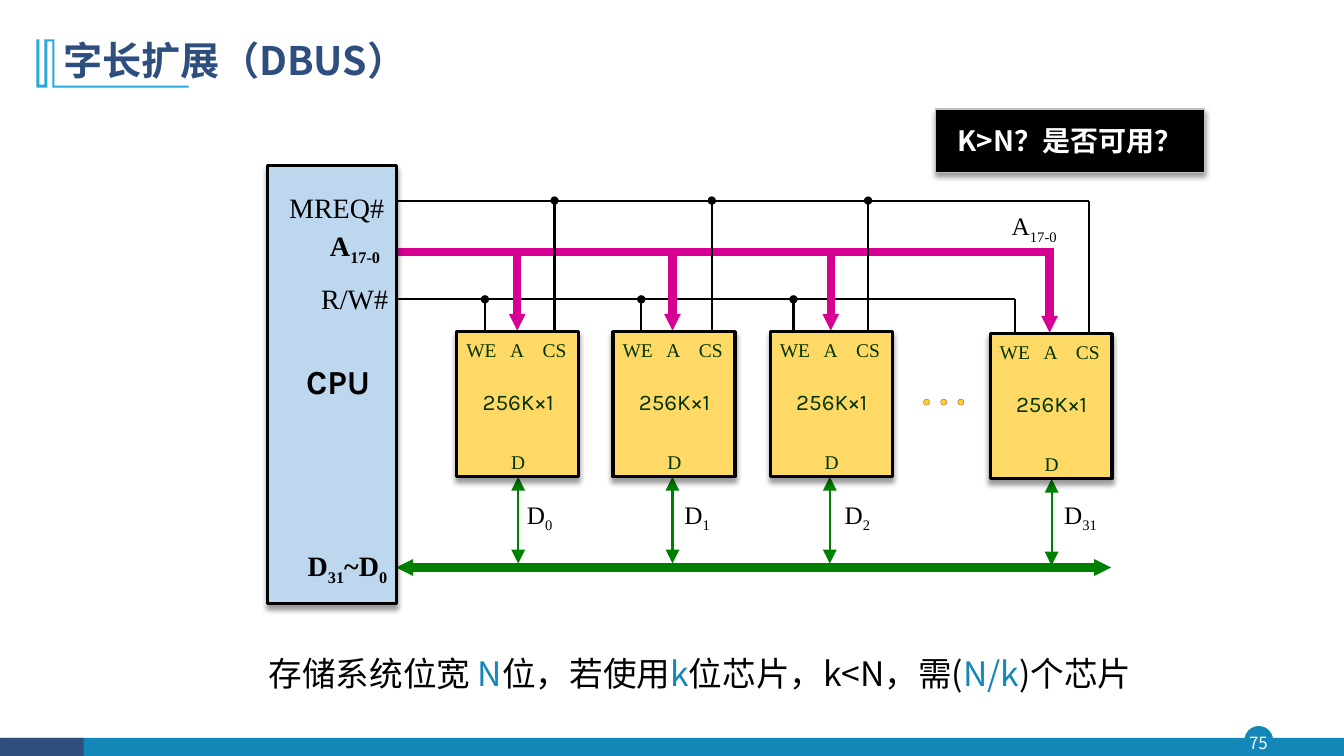
from typing import NamedTuple

from lxml import etree
from pptx import Presentation
from pptx import util as u
from pptx.dml.color import RGBColor
from pptx.enum import shapes, text
from pptx.oxml.ns import qn

PX = 9144  # EMU per px, 100 px to the inch
SANS, SERIF, LATIN = "Noto Sans CJK SC", "Times New Roman", "Karla"
COLOURS = {
    "black": "000000", "white": "FFFFFF", "grey": "BFBFBF",
    "navy": "2E4E7E", "teal": "1387B7", "sky": "28A9D6",
    "address": "D60093", "data": "008000", "pin": "003300",
    "chip": "FFD966", "cpu": "BDD7EE", "dot": "FFCC00", "dot_edge": "954F72",
}
LEFT, CENTRE, RIGHT = text.PP_ALIGN.LEFT, text.PP_ALIGN.CENTER, text.PP_ALIGN.RIGHT
RECT, OVAL = shapes.MSO_SHAPE.RECTANGLE, shapes.MSO_SHAPE.OVAL


class Run(NamedTuple):
    text: str
    baseline: int = 0
    colour: str = ""


class Chip(NamedTuple):
    left: int
    top: int
    write_x: int
    address_x: int
    select_x: int
    data_x: int
    label_x: int
    bit: str
    last: bool = False


CHIPS = [
    Chip(453, 329, 481, 513, 550, 514, 506, "0"),
    Chip(608, 329, 636, 667, 706, 667, 662, "1"),
    Chip(764, 329, 787, 824, 861, 823, 821, "2"),
    Chip(982, 331, 1007, 1041, 1080, 1043, 1046, "31", last=True),
]


def emu(*lengths):
    return [u.Emu(length * PX) for length in lengths]


def rgb(name):
    return RGBColor.from_string(COLOURS[name])


def format_paragraph(paragraph, runs, size, font, colour, align, bold):
    paragraph.alignment = align
    paragraph.font.size = u.Pt(size)
    paragraph.font.bold = bold
    paragraph.font.color.rgb = rgb(colour)
    paragraph.font.name = font
    etree.SubElement(paragraph.font._element, qn("a:ea"), typeface=font)
    for part in runs:
        run = paragraph.add_run()
        run.text = part.text
        if part.baseline:
            run.font._element.set("baseline", str(part.baseline * 1000))
        if part.colour:
            run.font.color.rgb = rgb(part.colour)


def add_text(slide, box, runs, size, font=SERIF, colour="black", align=CENTRE,
             bold=False, inset=None, wrap=True, grow=False, middle=False):
    frame = slide.shapes.add_textbox(*emu(*box)).text_frame
    frame.word_wrap = wrap
    if grow:
        frame.auto_size = text.MSO_AUTO_SIZE.SHAPE_TO_FIT_TEXT
    if middle:
        frame.vertical_anchor = text.MSO_ANCHOR.MIDDLE
    if inset is not None:
        frame.margin_left = frame.margin_right = u.Emu(inset * PX)
        frame.margin_top = frame.margin_bottom = u.Emu(inset * PX)
    format_paragraph(frame.paragraphs[0], runs, size, font, colour, align, bold)


def paint(shape, fill, edge=None, width=1.0):
    shape.shadow.inherit = False
    shape.fill.solid()
    shape.fill.fore_color.rgb = rgb(fill)
    if edge:
        shape.line.color.rgb = rgb(edge)
        shape.line.width = u.Pt(width)
    else:
        shape.line.fill.background()


def add_block(slide, kind, box, fill, edge=None, width=1.0, shadow=False, alpha=100):
    block = slide.shapes.add_shape(kind, *emu(*box))
    paint(block, fill, edge, width)
    properties = block._element.spPr
    if shadow:
        outer = etree.SubElement(properties.find(qn("a:effectLst")), qn("a:outerShdw"),
                                 blurRad=str(u.Pt(4)), dist=str(u.Pt(3)),
                                 dir="5400000", algn="t", rotWithShape="0")
        shade = etree.SubElement(outer, qn("a:srgbClr"), val=COLOURS["black"])
        etree.SubElement(shade, qn("a:alpha"), val="40000")
    if alpha < 100:
        tint = properties.find(qn("a:solidFill")).find(qn("a:srgbClr"))
        etree.SubElement(tint, qn("a:alpha"), val=str(alpha * 1000))


def add_wire(slide, start, end, colour="black", width=1.5, head=None, tail=None, tip="med"):
    wire = slide.shapes.add_connector(shapes.MSO_CONNECTOR.STRAIGHT, *emu(*start, *end))
    wire.line.color.rgb = rgb(colour)
    wire.line.width = u.Pt(width)
    properties = wire._element.spPr
    for tag, kind in (("a:headEnd", head), ("a:tailEnd", tail)):
        if kind:
            etree.SubElement(properties.find(qn("a:ln")), qn(tag), type=kind, w=tip, len=tip)
    etree.SubElement(properties, qn("a:effectLst"))


def add_frame(slide):
    # Footer bar with page number
    add_block(slide, OVAL, (1235, 721, 27, 27), "teal", "teal")
    add_block(slide, RECT, (1, 732, 1332, 19), "teal")
    add_block(slide, RECT, (0, 732, 83, 19), "navy")
    add_text(slide, (1232, 721, 32, 31), [Run("75")], 12, SANS, "white", inset=0, middle=True)
    # Title ornament
    outline = [(54, 85), (187, 85), (187, 87), (52, 87), (52, 41), (47, 41), (47, 87),
               (36, 87), (36, 39), (39, 39), (39, 84), (44, 84), (44, 39)]
    builder = slide.shapes.build_freeform(54, 39, scale=PX)
    builder.add_line_segments(outline, close=True)
    paint(builder.convert_to_shape(), "sky")
    # Title
    title = slide.shapes.title
    title.left, title.top, title.width, title.height = emu(53, 28, 1150, 68)
    title.text_frame.vertical_anchor = text.MSO_ANCHOR.MIDDLE
    title.text_frame.auto_size = text.MSO_AUTO_SIZE.NONE
    heading = title.text_frame.paragraphs[0]
    heading.line_spacing = 0.9
    format_paragraph(heading, [Run("字长扩展（DBUS）")], 28, SANS, "navy", LEFT, True)


def add_buses(slide):
    # Write control
    add_wire(slide, (388, 297), (1007, 297))
    for chip in CHIPS:
        add_wire(slide, (chip.write_x, 347), (chip.write_x, 297),
                 tail=None if chip.last else "oval")
    # Address bus
    add_text(slide, (950, 208, 99, 49), [Run("A"), Run("17-0", -25)], 18, align=RIGHT, inset=1)
    add_wire(slide, (389, 250), (1045, 250), "address", 6)
    for chip in CHIPS:
        add_wire(slide, (chip.address_x, 250), (chip.address_x, chip.top - 1),
                 "address", 6, tail="triangle", tip="sm")
    # Chip select
    add_wire(slide, (388, 199), (1080, 199))
    for chip in CHIPS:
        add_wire(slide, (chip.select_x, 343), (chip.select_x, 199),
                 tail=None if chip.last else "oval")
    # Data bus
    add_wire(slide, (393, 563), (1102, 563), "data", 6, "triangle", "triangle", "sm")
    for chip in CHIPS:
        add_wire(slide, (chip.data_x, chip.top + 144), (chip.data_x, chip.top + 230),
                 "data", 1.5, "triangle", "triangle", "lg")
        add_text(slide, (chip.label_x, 494, 43, 49), [Run("D"), Run(chip.bit, -25)], 18,
                 align=RIGHT, inset=1)


def add_chip(slide, chip):
    add_block(slide, RECT, (chip.left, chip.top, 121, 144), "chip", "black", 2.25, shadow=True)
    pins = [("WE", -3, -3, 55), ("A", 42, -3, 36), ("CS", 73, -3, 48), ("D", 43, 109, 36)]
    for pin, dx, dy, width in pins:
        add_text(slide, (chip.left + dx, chip.top + dy, width, 50), [Run(pin, 30)], 24,
                 colour="pin", wrap=False)
    add_text(slide, (chip.left - 2, chip.top + 51, 126, 37), [Run("256K×1")], 16, LATIN,
             "pin", grow=True)


def add_cpu(slide):
    add_block(slide, RECT, (265, 164, 128, 435), "cpu", "black", 2.25, shadow=True)
    ports = [
        (266, 226, [Run("A"), Run("17-0", -25)], 20, SERIF, True),
        (270, 188, [Run("MREQ#")], 20, SERIF, False),
        (274, 278, [Run("R/W#")], 20, SERIF, False),
        (256, 357, [Run("CPU")], 24, LATIN, True),
        (273, 543, [Run("D"), Run("31", -25), Run("~D"), Run("0", -25)], 20, SERIF, True),
    ]
    for left, top, runs, size, font, bold in ports:
        add_text(slide, (left, top, 112, 56), runs, size, font, align=RIGHT, bold=bold, inset=1)


def main():
    deck = Presentation()
    deck.slide_width, deck.slide_height = emu(1333, 750)
    slide = deck.slides.add_slide(deck.slide_layouts[5])
    add_frame(slide)
    add_buses(slide)
    # Memory chips and the dots between them
    for chip in CHIPS:
        add_chip(slide, chip)
    for step in range(3):
        add_block(slide, OVAL, (916 + 17 * step, 396, 6, 6), "dot", "dot_edge", 0.25, alpha=90)
    add_cpu(slide)
    # Question callout
    add_block(slide, RECT, (928, 108, 267, 63), "black", "grey", shadow=True)
    add_text(slide, (928, 118, 267, 44), [Run("K>N？是否可用？")], 20, SANS, "white",
             bold=True, grow=True)
    # Conclusion
    conclusion = [Run("存储系统位宽 "), Run("N", colour="teal"), Run("位，若使用"),
                  Run("k", colour="teal"), Run("位芯片，k<N，需("),
                  Run("N/k", colour="teal"), Run(")个芯片")]
    add_text(slide, (203, 643, 929, 50), conclusion, 24, SANS, align=RIGHT, grow=True)
    deck.save("out.pptx")


if __name__ == "__main__":
    main()
